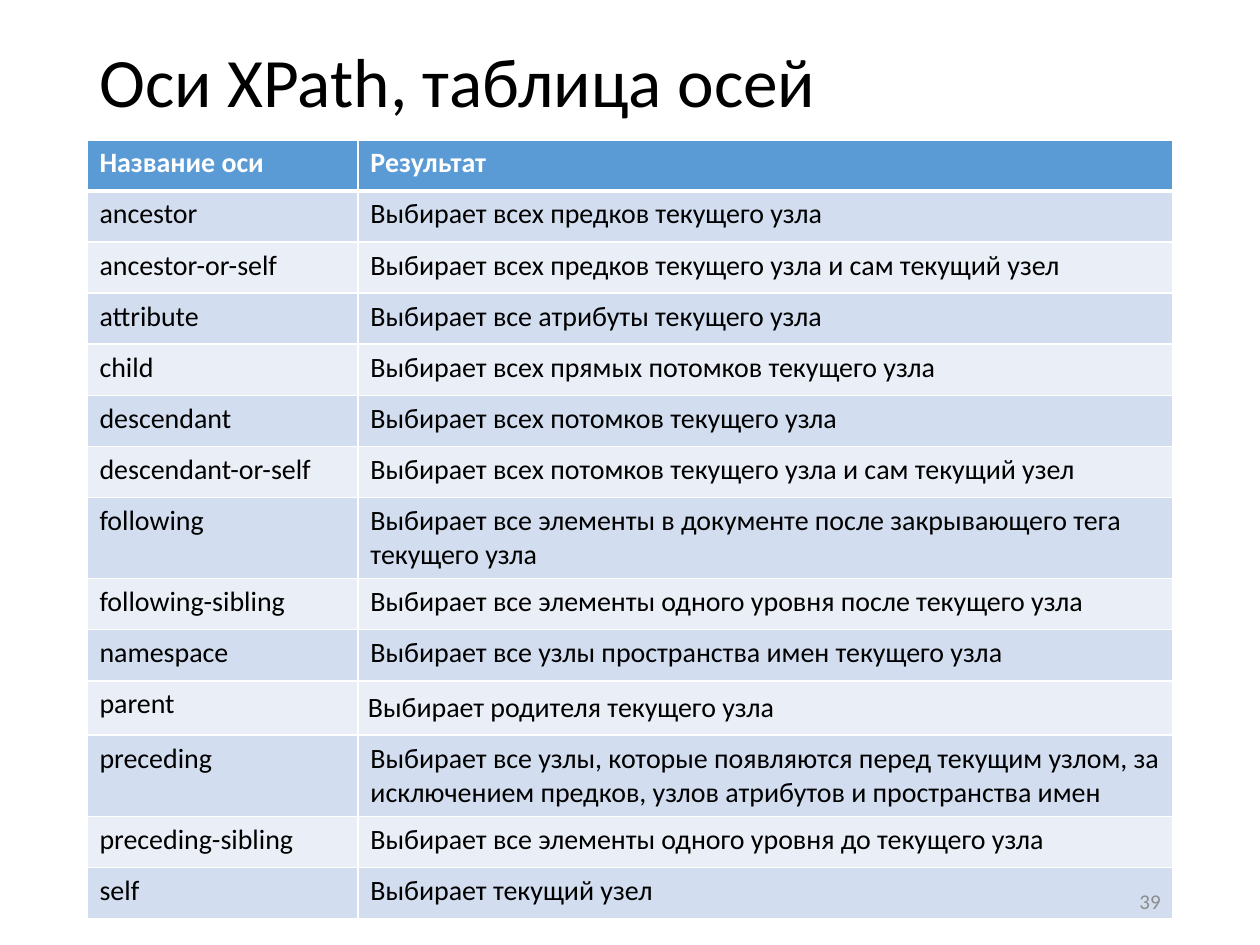
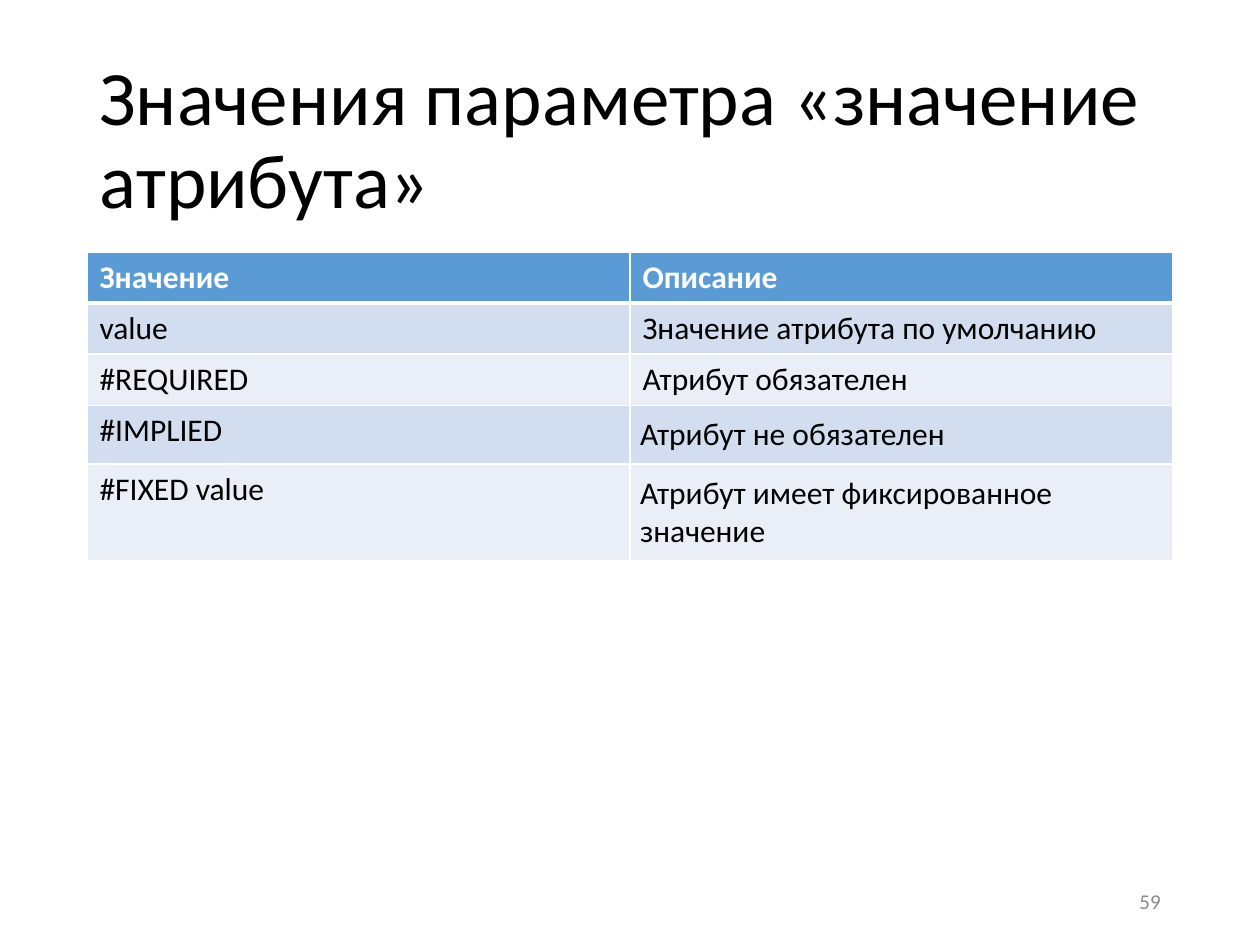
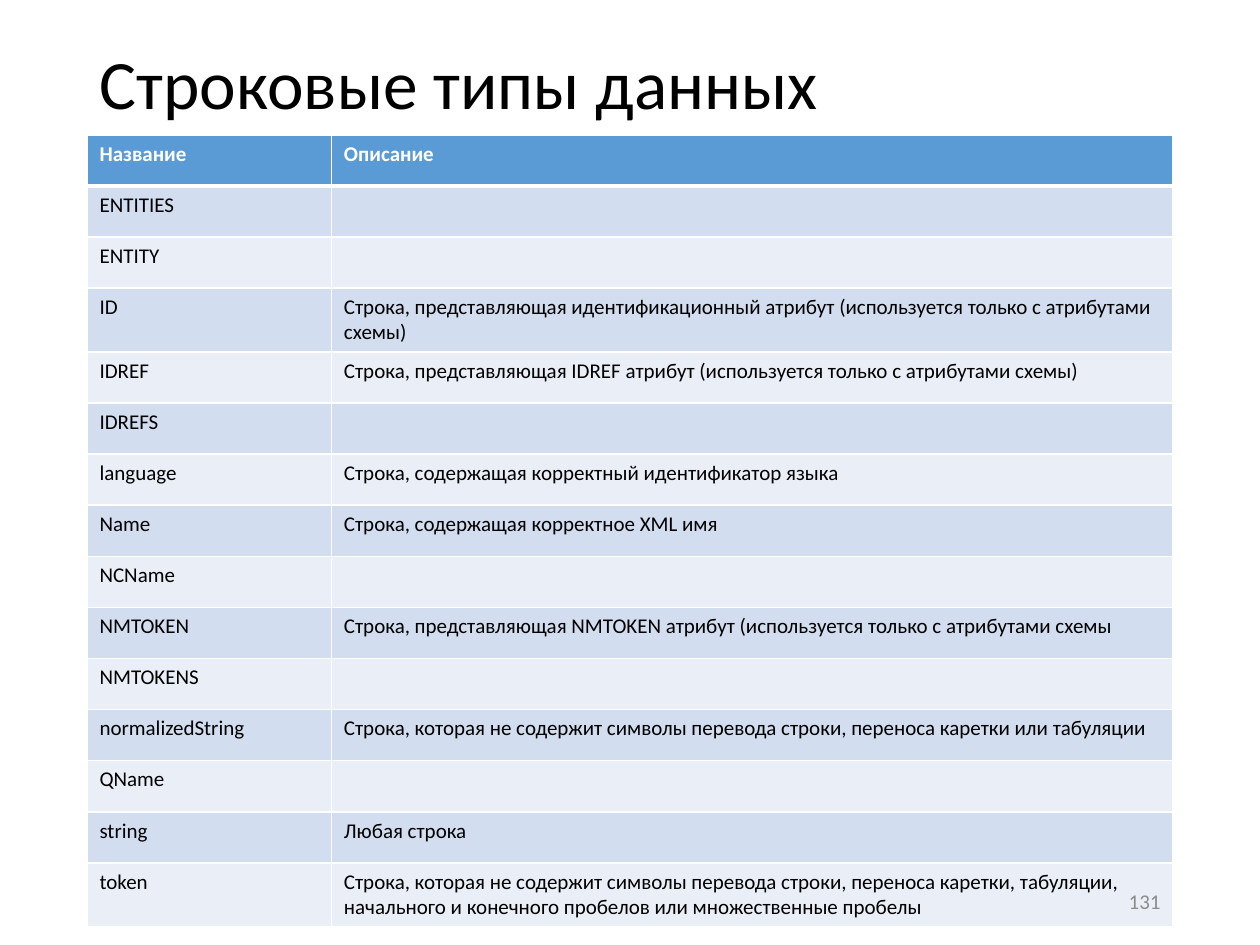
from dataclasses import dataclass

from lxml import etree
from pptx import Presentation
from pptx import util as u
from pptx.dml.color import RGBColor
from pptx.enum import text
from pptx.oxml import ns


@dataclass(frozen=True)
class Theme:
    font: str = "Calibri"
    ink: str = "000000"
    paper: str = "FFFFFF"
    header: str = "5B9BD5"
    bands: tuple = ("D2DEEF", "EAEFF7")
    number: str = "8C8C8C"
    title_size: float = 44
    compact_title_size: float = 39.6
    number_size: float = 12
    rule: float = 1
    header_rule: float = 3


THEME = Theme()
LEFT, WIDTH, TITLE_TOP = 0.69, 8.62, 0.4
ROW_HEIGHT = 7.3 / 18  # eighteen rows fill 7.3 inches
ROOMY_INSET = 0.08

# Content of the three tables: header first, then one tuple per row
AXES = [
    ("Название оси", "Результат"),
    ("ancestor", "Выбирает всех предков текущего узла"),
    ("ancestor-or-self", "Выбирает всех предков текущего узла и сам текущий узел"),
    ("attribute", "Выбирает все атрибуты текущего узла"),
    ("child", "Выбирает всех прямых потомков текущего узла"),
    ("descendant", "Выбирает всех потомков текущего узла"),
    ("descendant-or-self", "Выбирает всех потомков текущего узла и сам текущий узел"),
    ("following", "Выбирает все элементы в документе после закрывающего тега текущего узла"),
    ("following-sibling", "Выбирает все элементы одного уровня после текущего узла"),
    ("namespace", "Выбирает все узлы пространства имен текущего узла"),
    ("parent", "Выбирает родителя текущего узла"),
    ("preceding", "Выбирает все узлы, которые появляются перед текущим узлом, "
                  "за исключением предков, узлов атрибутов и пространства имен"),
    ("preceding-sibling", "Выбирает все элементы одного уровня до текущего узла"),
    ("self", "Выбирает текущий узел"),
]
ATTRIBUTE_VALUES = [
    ("Значение", "Описание"),
    ("value", "Значение атрибута по умолчанию"),
    ("#REQUIRED", "Атрибут обязателен"),
    ("#IMPLIED", "Атрибут не обязателен"),
    ("#FIXED value", "Атрибут имеет фиксированное значение"),
]
STRING_TYPES = [
    ("Название", "Описание"),
    ("ENTITIES", ""),
    ("ENTITY", ""),
    ("ID", "Строка, представляющая идентификационный атрибут "
           "(используется только с атрибутами схемы)"),
    ("IDREF", "Строка, представляющая IDREF атрибут (используется только с атрибутами схемы)"),
    ("IDREFS", ""),
    ("language", "Строка, содержащая корректный идентификатор языка"),
    ("Name", "Строка, содержащая корректное XML имя"),
    ("NCName", ""),
    ("NMTOKEN", "Строка, представляющая NMTOKEN атрибут (используется только с атрибутами схемы"),
    ("NMTOKENS", ""),
    ("normalizedString", "Строка, которая не содержит символы перевода строки, "
                         "переноса каретки или табуляции"),
    ("QName", ""),
    ("string", "Любая строка"),
    ("token", "Строка, которая не содержит символы перевода строки, переноса каретки, "
              "табуляции, начального и конечного пробелов или множественные пробелы"),
]


def write(frame, words, *, size, color, bold=False, align=text.PP_ALIGN.LEFT, spacing=None):
    para = frame.paragraphs[0]
    para.alignment = align
    if spacing:
        para.line_spacing = spacing
    span = para.add_run()
    span.text = words
    span.font.name = THEME.font
    span.font.size = u.Pt(size)
    span.font.bold = bold
    span.font.color.rgb = RGBColor.from_string(color)


def set_borders(cell, **widths):
    """Draw the left, right, top and bottom rules of a cell, in points."""
    properties = cell._tc.get_or_add_tcPr()
    for index, side in enumerate("LRTB"):
        line = etree.Element(ns.qn(f"a:ln{side}"))
        line.set("w", str(u.Pt(widths.get(side, THEME.rule))))
        fill = etree.SubElement(line, ns.qn("a:solidFill"))
        etree.SubElement(fill, ns.qn("a:srgbClr")).set("val", THEME.paper)
        properties.insert(index, line)


def add_title(page, words, box, size):
    title = page.shapes.title
    title.left, title.top, title.width, title.height = map(u.Inches, box)
    frame = title.text_frame
    frame.word_wrap = True
    frame.auto_size = text.MSO_AUTO_SIZE.NONE
    frame.vertical_anchor = text.MSO_ANCHOR.MIDDLE
    write(frame, words, size=size, color=THEME.ink, spacing=0.9)


def add_banded_table(page, rows, box, first_column, size, roomy):
    left, top, width, height = map(u.Inches, box)
    table = page.shapes.add_table(len(rows), 2, left, top, width, height).table
    table.columns[0].width = u.Inches(first_column)
    table.columns[1].width = width - u.Inches(first_column)
    for r, row in enumerate(rows):
        table.rows[r].height = u.Inches(ROW_HEIGHT)
        is_header = r == 0
        for c, words in enumerate(row):
            cell = table.cell(r, c)
            set_borders(cell, **({"B": THEME.header_rule} if is_header
                                 else {"T": THEME.header_rule} if r == 1 else {}))
            cell.fill.solid()
            cell.fill.fore_color.rgb = RGBColor.from_string(
                THEME.header if is_header else THEME.bands[(r - 1) % 2])
            if words:
                write(cell.text_frame, words, size=size, bold=is_header,
                      color=THEME.paper if is_header else THEME.ink)
            if c == 1 and row[0] in roomy:
                cell.margin_left = cell.margin_right = u.Inches(ROOMY_INSET)
                cell.margin_top = cell.margin_bottom = u.Inches(ROOMY_INSET)


def add_page_number(page, number, box):
    frame = page.shapes.add_textbox(*map(u.Inches, box)).text_frame
    frame.word_wrap = True
    frame.vertical_anchor = text.MSO_ANCHOR.MIDDLE
    write(frame, str(number), size=THEME.number_size, color=THEME.number,
          align=text.PP_ALIGN.RIGHT)


def add_table_page(deck, title, rows, number, *, title_height, table_top, first_column,
                   size, title_size=THEME.compact_title_size, roomy=()):
    page = deck.slides.add_slide(deck.slide_layouts[5])
    add_title(page, title, (LEFT, TITLE_TOP, WIDTH, title_height), title_size)
    add_banded_table(page, rows, (LEFT, table_top, WIDTH, ROW_HEIGHT * len(rows)),
                     first_column, size, roomy)
    add_page_number(page, number, (7.06, 6.95, 2.25, 0.4))


def main():
    deck = Presentation()
    deck.slide_width, deck.slide_height = u.Inches(10), u.Inches(7.5)
    add_table_page(deck, "Оси XPath, таблица осей", AXES, 39, title_height=0.55,
                   table_top=1.11, first_column=2.15, size=16, roomy=("parent",))
    add_table_page(deck, "Значения параметра «значение атрибута»", ATTRIBUTE_VALUES, 59,
                   title_height=1.45, table_top=2, first_column=WIDTH / 2, size=18,
                   title_size=THEME.title_size, roomy=("#IMPLIED", "#FIXED value"))
    add_table_page(deck, "Строковые типы данных", STRING_TYPES, 131, title_height=0.58,
                   table_top=1.07, first_column=1.94, size=12)
    deck.save("out.pptx")


if __name__ == "__main__":
    main()
